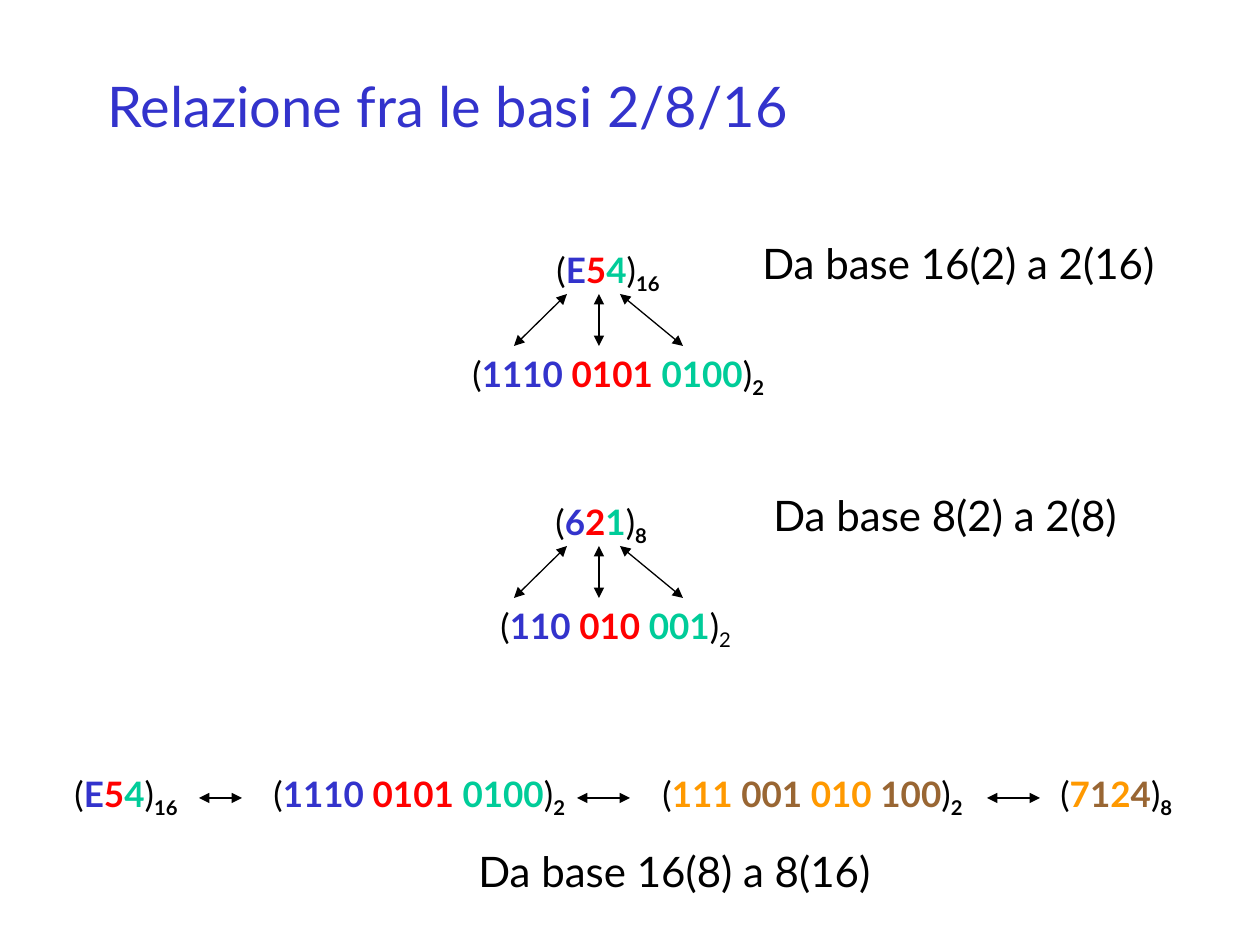
from dataclasses import dataclass
from itertools import cycle
from pptx import Presentation
from pptx.dml.color import RGBColor
from pptx.enum.shapes import MSO_CONNECTOR
from pptx.enum.text import MSO_ANCHOR, MSO_AUTO_SIZE
from pptx.oxml.ns import qn
from pptx.util import Emu, Inches, Pt
from lxml.etree import SubElement


@dataclass(frozen=True)
class Theme:
    font: str = "Lato"
    ink: str = "000000"
    heading: str = "3333CC"
    triple: tuple = ("3333CC", "FF0000", "00CC99")
    pair: tuple = ("FF9900", "996633")
    title_size: int = 32
    label_size: int = 24
    number_size: int = 20
    line_width: float = 0.74


class Board:
    scale = Inches(1) // 126

    def __init__(self, slide, theme):
        self.slide = slide
        self.theme = theme

    def px(self, *lengths):
        return [Emu(length * self.scale) for length in lengths]

    def paragraph(self, left, top, width, height, size, wrap=False):
        frame = self.slide.shapes.add_textbox(*self.px(left, top, width, height)).text_frame
        frame.word_wrap = wrap
        frame.auto_size = MSO_AUTO_SIZE.NONE if wrap else MSO_AUTO_SIZE.SHAPE_TO_FIT_TEXT
        frame.vertical_anchor = MSO_ANCHOR.MIDDLE if wrap else MSO_ANCHOR.TOP
        paragraph = frame.paragraphs[0]
        paragraph.font.name = self.theme.font
        paragraph.font.size = Pt(size)
        return paragraph

    def title(self, text, left, top, width, height):
        heading = self.paragraph(left, top, width, height, self.theme.title_size, wrap=True)
        heading.font.color.rgb = RGBColor.from_string(self.theme.heading)
        heading.add_run().text = text

    def label(self, text, left, top, width):
        caption = self.paragraph(left, top, width, 63, self.theme.label_size)
        caption.font.color.rgb = RGBColor.from_string(self.theme.ink)
        caption.add_run().text = text

    def run(self, paragraph, text, color, bold):
        run = paragraph.add_run()
        run.text = text
        run.font.bold = bold
        run.font.color.rgb = RGBColor.from_string(color)
        return run

    def number(self, digits, base, left, top, width, colors, bold_base=True):
        ink = self.theme.ink
        number = self.paragraph(left, top, width, 60, self.theme.number_size)
        groups = digits.split()
        if len(groups) == 1:
            parts = list(digits)
        else:
            parts = [group + " " for group in groups[:-1]] + groups[-1:]
        self.run(number, "(", ink, False)
        for part, color in zip(parts, cycle(colors)):
            self.run(number, part, color, True)
        self.run(number, ")", ink, False)
        subscript = self.run(number, base, ink, bold_base)
        subscript._r.get_or_add_rPr().set("baseline", "-25000")

    def arrow(self, x1, y1, x2, y2):
        arrow = self.slide.shapes.add_connector(MSO_CONNECTOR.STRAIGHT, *self.px(x1, y1, x2, y2))
        arrow.line.width = Pt(self.theme.line_width)
        arrow.line.color.rgb = RGBColor.from_string(self.theme.ink)
        line = arrow.line._get_or_add_ln()
        for end in ("a:headEnd", "a:tailEnd"):
            SubElement(line, qn(end), type="triangle")
        SubElement(arrow._element.spPr, qn("a:effectLst"))


theme = Theme()
deck = Presentation()
deck.slide_width, deck.slide_height = Inches(10), Inches(7.5)
board = Board(deck.slides.add_slide(deck.slide_layouts[6]), theme)

board.title("Relazione fra le basi 2/8/16", 95, 53, 1071, 105)

conversions = [
    (242, ("E54", "16", 544, 132), ("1110 0101 0100", 460, 324, True),
     ("Da base 16(2) a 2(16) ", 750, 445)),
    (494, ("621", "8", 543, 120), ("110 010 001", 488, 262, False),
     ("Da base 8(2) a 2(8) ", 761, 397)),
]
for top, (digits, base, left, width), (bits, bits_left, bits_width, bold), caption in conversions:
    board.number(digits, base, left, top, width, theme.triple)
    board.number(bits, "2", bits_left, top + 104, bits_width, theme.triple, bold)
    for upper, lower in ((567, 514), (599, 599), (620, 683)):
        board.arrow(upper, top + 52, lower, top + 104)
    text, caption_left, caption_width = caption
    board.label(text, caption_left, top - 11, caption_width)

chain = [
    ("E54", "16", 62, 132, theme.triple),
    ("1110 0101 0100", "2", 261, 324, theme.triple),
    ("111 001 010 100", "2", 650, 333, theme.pair),
    ("7124", "8", 1048, 140, theme.pair),
]
for digits, base, left, width, colors in chain:
    board.number(digits, base, left, 766, width, colors)
for start, end in ((199, 242), (577, 630), (987, 1040)):
    board.arrow(start, 798, end, 798)
board.label("Da base 16(8) a 8(16) ", 466, 839, 445)

deck.save("out.pptx")
